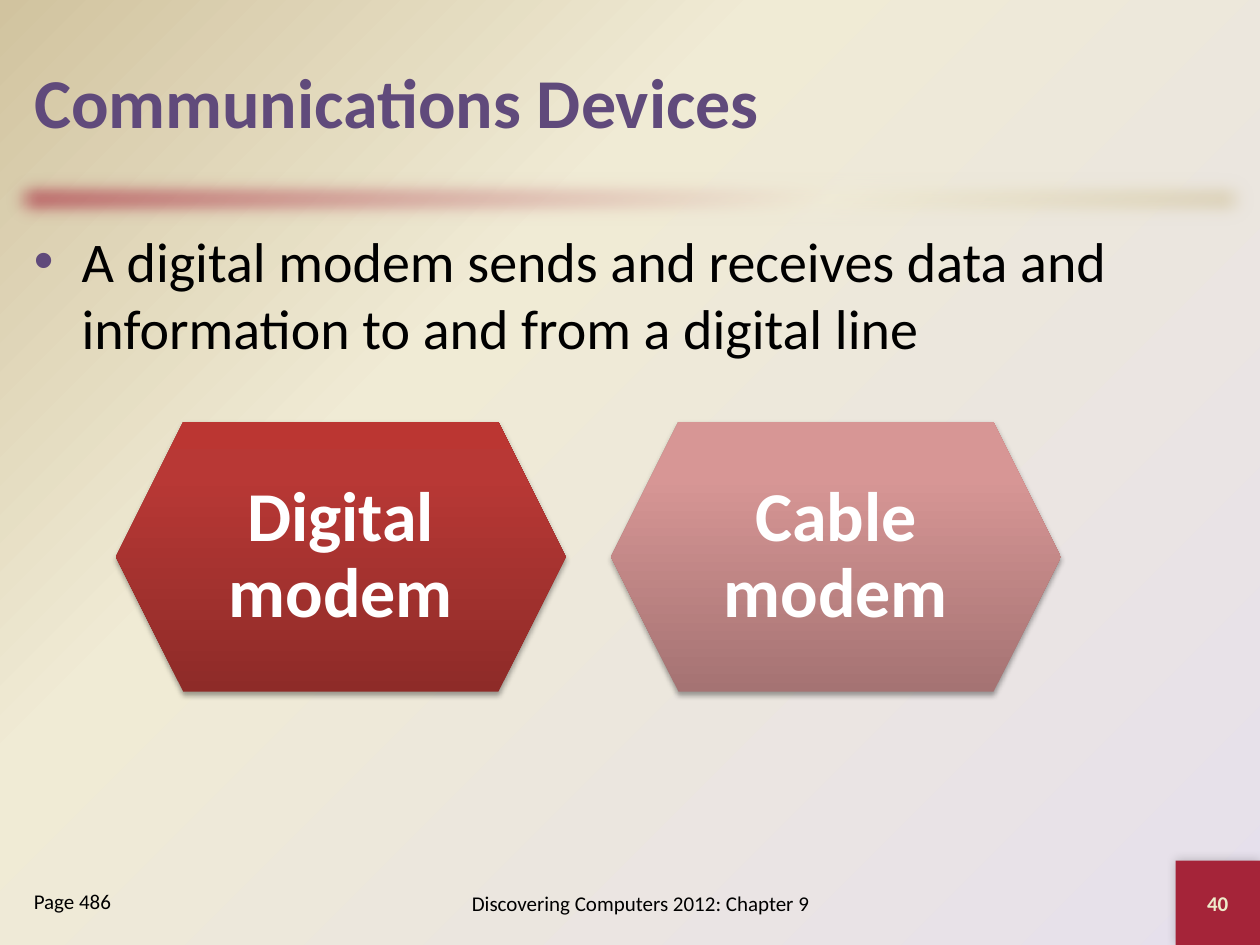
"""Build the slide on digital and cable modems."""
from dataclasses import dataclass

from lxml import etree
from pptx import Presentation
from pptx import util as u
from pptx.dml.color import RGBColor
from pptx.enum import shapes, text
from pptx.oxml.ns import qn

Inches, Pt = u.Inches, u.Pt
Stops = list[tuple[int, str]]
MID, LEFT = text.PP_ALIGN.CENTER, text.PP_ALIGN.LEFT
SAND: Stops = [(65, "F0EBD5"), (100, "D1C39F")]


@dataclass
class Box:
    left: float
    top: float
    width: float
    height: float

    def place(self) -> list[int]:
        return [Inches(n) for n in (self.left, self.top, self.width, self.height)]


@dataclass
class Shade:
    alpha: int
    blur: float
    dist: float
    angle: int


@dataclass
class Modem:
    label: str
    stops: Stops


MODEMS = [
    Modem("Digital modem", [(0, "8E2B28"), (80, "B83835"), (100, "BB3632")]),
    Modem("Cable modem", [(0, "A57373"), (80, "D79695"), (100, "D99594")]),
]


def paint(code: str) -> RGBColor:
    return RGBColor.from_string(code)


def add(parent, tag: str, **attrs):
    return etree.SubElement(parent, qn(tag), {k: str(v) for k, v in attrs.items()})


def blend(parent, stops: Stops, angle: int | None = None) -> None:
    """Swap a solid fill for a gradient, round when no angle is given."""
    grad = etree.Element(qn("a:gradFill"), rotWithShape="1")
    items = add(grad, "a:gsLst")
    for pos, code in stops:
        add(add(items, "a:gs", pos=pos * 1000), "a:srgbClr", val=code)
    if angle is None:
        add(add(grad, "a:path", path="circle"), "a:fillToRect", l=100000, t=100000)
    else:
        add(grad, "a:lin", ang=angle * 60000, scaled=0)
    parent.replace(parent.find(qn("a:solidFill")), grad)


def shape(slide, kind, box: Box, code: str, shade: Shade | None = None):
    item = slide.shapes.add_shape(kind, *box.place())
    item.fill.solid()
    item.fill.fore_color.rgb = paint(code)
    item.line.fill.background()
    item.shadow.inherit = False
    if shade:
        cast = add(item.element.spPr.find(qn("a:effectLst")), "a:outerShdw",
                   blurRad=Pt(shade.blur), dist=Pt(shade.dist),
                   dir=shade.angle * 60000, algn="ctr", rotWithShape=0)
        add(add(cast, "a:srgbClr", val="000000"), "a:alpha", val=shade.alpha * 1000)
    return item


def write(item, words: str, size: int, code: str = "000000", bold: bool = False,
          align=LEFT, anchor=text.MSO_ANCHOR.MIDDLE):
    frame = item.text_frame
    frame.text = words
    frame.word_wrap = True
    frame.auto_size = text.MSO_AUTO_SIZE.NONE
    frame.vertical_anchor = anchor
    para = frame.paragraphs[0]
    para.alignment = align
    font = para.runs[0].font
    font.name, font.size, font.bold = "Calibri", Pt(size), bold
    font.color.rgb = paint(code)
    return para


def note(slide, box: Box, words: str, size: int, **style):
    return write(slide.shapes.add_textbox(*box.place()), words, size, **style)


def bullet(para, code: str) -> None:
    props = para._p.get_or_add_pPr()
    props.set("marL", str(Inches(0.38)))
    props.set("indent", str(-Inches(0.38)))
    add(add(props, "a:buClr"), "a:srgbClr", val=code)
    add(props, "a:buFont", typeface="Arial")
    add(props, "a:buChar", char="•")


def hexagon(slide, modem: Modem, left: float) -> None:
    item = shape(slide, shapes.MSO_SHAPE.HEXAGON, Box(left, 3.35, 3.57, 2.14),
                 modem.stops[0][1], Shade(35, 3.1, 1.8, 90))
    blend(item.element.spPr, modem.stops, 270)
    para = write(item, modem.label, 40, "FFFFFF", True, MID)
    para.line_spacing = 0.9
    frame = item.text_frame
    frame.margin_left = frame.margin_right = Inches(0.17)
    frame.margin_top = frame.margin_bottom = Inches(0.17)


def main() -> None:
    deck = Presentation()
    deck.slide_width, deck.slide_height = Inches(10), Inches(7.5)
    slide = deck.slides.add_slide(deck.slide_layouts[5])
    top = text.MSO_ANCHOR.TOP

    fill = slide.background.fill
    fill.solid()
    fill.fore_color.rgb = paint("F0EBD5")
    blend(slide.element.find(".//" + qn("p:bgPr")), [(0, "E6E0EC"), *SAND])

    rect = shapes.MSO_SHAPE.RECTANGLE
    bar = shape(slide, rect, Box(0, 1.33, 10, 0.5), "A52439")
    blend(bar.element.spPr, [(0, "A52439"), *SAND], 45)
    add(bar.element.spPr.find(qn("a:effectLst")), "a:softEdge", rad=Pt(12.5))

    title = slide.shapes.title
    title.left, title.top, title.width, title.height = Box(0.17, 0.17, 9.67, 1.25).place()
    write(title, "Communications Devices", 40, "604A7B", True)

    body = note(slide, Box(0.17, 1.75, 9.67, 1.5),
                "A digital modem sends and receives data and information"
                " to and from a digital line", 32, anchor=top)
    bullet(body, "604A7B")

    for i, modem in enumerate(MODEMS):
        hexagon(slide, modem, 0.92 + i * 3.93)

    note(slide, Box(0.17, 7, 1.83, 0.5), "Page 486", 12, anchor=top)
    note(slide, Box(3, 6.92, 4.17, 0.5), "Discovering Computers 2012: Chapter 9",
         12, align=MID)
    badge = shape(slide, rect, Box(9.33, 6.83, 0.67, 0.67), "A52439",
                  Shade(20, 6, 0, 225))
    write(badge, "40", 12, "EEEBCA", True, MID)
    deck.save("out.pptx")


if __name__ == "__main__":
    main()
